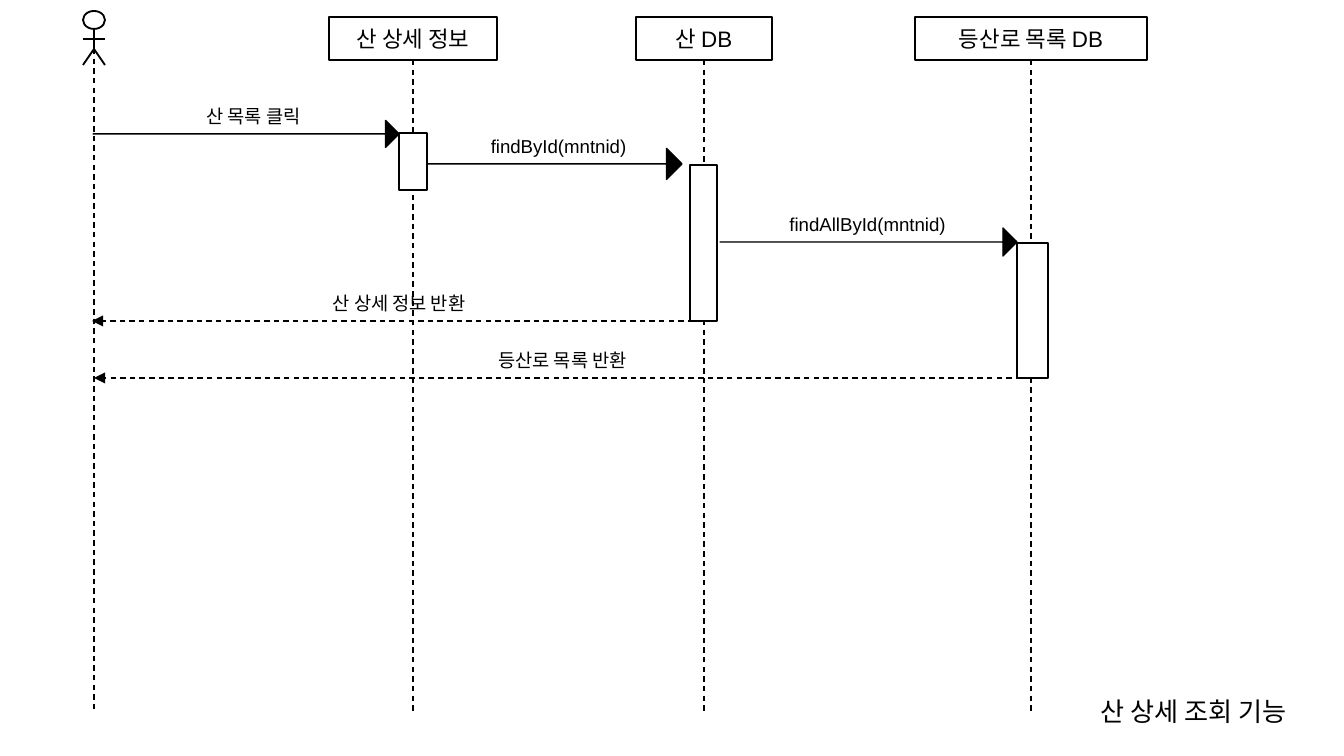
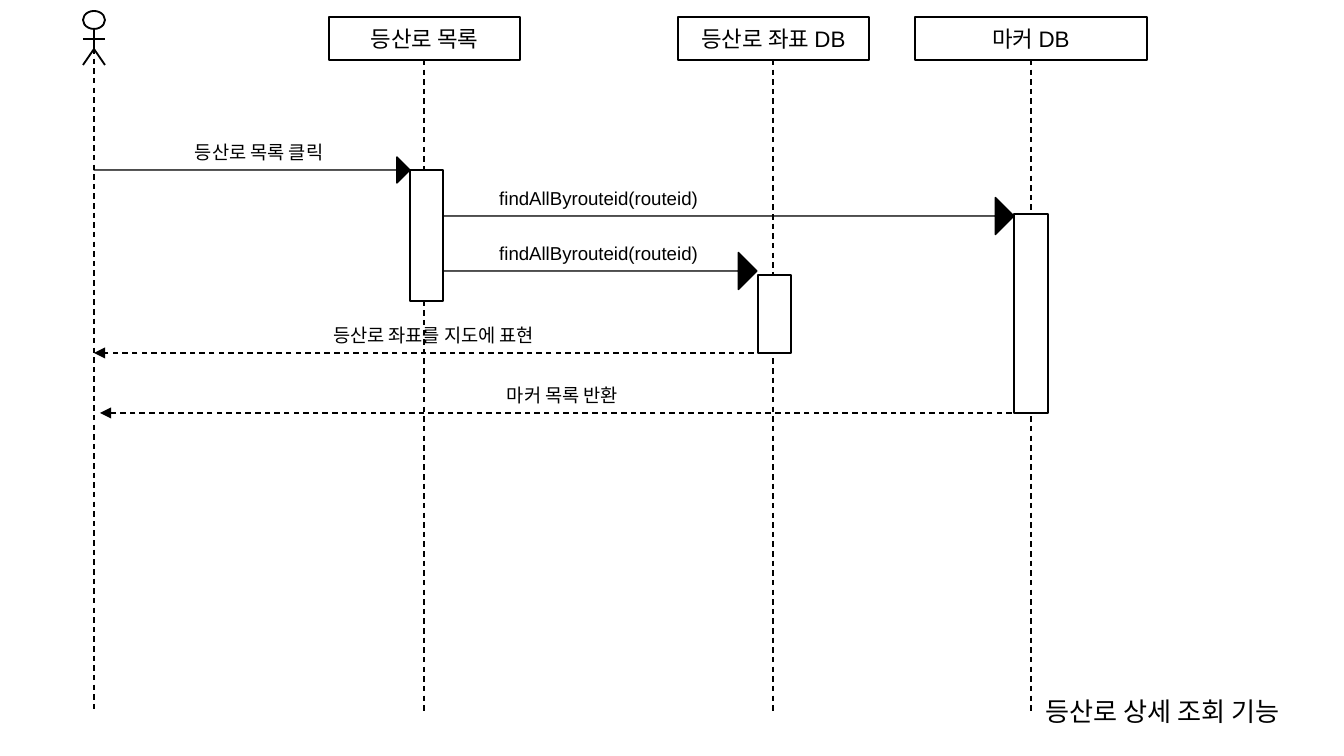
from dataclasses import dataclass

import lxml.etree
import pptx
import pptx.dml.color
import pptx.enum.dml
import pptx.enum.shapes
import pptx.enum.text
import pptx.oxml.ns
import pptx.shapes.autoshape
import pptx.shapes.connector
import pptx.slide
import pptx.util

PIXELS_PER_INCH = 134.4
SLIDE_WIDTH, SLIDE_HEIGHT = 1344, 756
ACTOR_X, ACTOR_HIP, ACTOR_REACH = 94, 49, 11
HEADER_TOP, HEADER_HEIGHT = 17, 43
LIFELINE_BOTTOM = 712
LABEL_HEIGHT = 36
CAPTION_TOP, CAPTION_HEIGHT = 689, 46


@dataclass(frozen=True)
class Theme:
    ink: pptx.dml.color.RGBColor = pptx.dml.color.RGBColor(0, 0, 0)
    paper: pptx.dml.color.RGBColor = pptx.dml.color.RGBColor(255, 255, 255)
    latin_font: str = "Arial"
    korean_font: str = "Noto Sans CJK KR"
    header_size: float = 12
    label_size: float = 10
    caption_size: float = 14
    thin: float = 0.75
    thick: float = 1


THEME = Theme()


@dataclass(frozen=True)
class Participant:
    name: str
    left: int
    width: int

    @property
    def center(self) -> int:
        return self.left + self.width // 2


@dataclass(frozen=True)
class Activation:
    left: int
    top: int
    width: int
    height: int


@dataclass(frozen=True)
class Message:
    label: str
    y: int
    start: int
    end: int
    label_span: tuple[int, int]
    head_height: int = 0


@dataclass(frozen=True)
class Diagram:
    caption: str
    caption_left: int
    caption_width: int
    participants: list[Participant]
    activations: list[Activation]
    messages: list[Message]


def px(pixels: float) -> int:
    return pptx.util.Inches(pixels / PIXELS_PER_INCH)


def add_text(shape, text: str, size: float, font: str, centered: bool = True) -> None:
    paragraph = shape.text_frame.paragraphs[0]
    if centered:
        paragraph.alignment = pptx.enum.text.PP_ALIGN.CENTER
    run = paragraph.add_run()
    run.text = text
    run.font.size = pptx.util.Pt(size)
    run.font.name = font
    run.font.color.rgb = THEME.ink
    east_asian = lxml.etree.SubElement(run.font._element, pptx.oxml.ns.qn("a:ea"))
    east_asian.set("typeface", THEME.korean_font)


def add_box(shapes, kind: pptx.enum.shapes.MSO_SHAPE, left: float, top: float,
            width: float, height: float, line_width: float,
            fill: pptx.dml.color.RGBColor | None) -> pptx.shapes.autoshape.Shape:
    shape = shapes.add_shape(kind, px(left), px(top), px(width), px(height))
    shape.shadow.inherit = False
    if fill is None:
        shape.fill.background()
    else:
        shape.fill.solid()
        shape.fill.fore_color.rgb = fill
    shape.line.color.rgb = THEME.ink
    shape.line.width = pptx.util.Pt(line_width)
    return shape


def add_line(shapes, start: tuple[float, float], end: tuple[float, float],
             line_width: float, dashed: bool = False,
             arrow: bool = False) -> pptx.shapes.connector.Connector:
    connector = shapes.add_connector(
        pptx.enum.shapes.MSO_CONNECTOR.STRAIGHT, *map(px, start + end))
    connector.line.color.rgb = THEME.ink
    connector.line.width = pptx.util.Pt(line_width)
    if dashed:
        connector.line.dash_style = pptx.enum.dml.MSO_LINE.DASH
    properties = connector._element.spPr
    if arrow:
        outline = properties.find(pptx.oxml.ns.qn("a:ln"))
        tail = lxml.etree.SubElement(outline, pptx.oxml.ns.qn("a:tailEnd"))
        tail.set("type", "triangle")
    lxml.etree.SubElement(properties, pptx.oxml.ns.qn("a:effectLst"))
    return connector


def add_text_box(slide: pptx.slide.Slide, text: str, left: int, top: int, width: int,
                 height: int, size: float, font: str, label: bool) -> None:
    box = slide.shapes.add_textbox(px(left), px(top), px(width), px(height))
    box.text_frame.word_wrap = label
    box.text_frame.auto_size = pptx.enum.text.MSO_AUTO_SIZE.SHAPE_TO_FIT_TEXT
    add_text(box, text, size, font, centered=label)


def add_actor(slide: pptx.slide.Slide) -> None:
    shapes = slide.shapes.add_group_shape().shapes
    left, right = ACTOR_X - ACTOR_REACH, ACTOR_X + ACTOR_REACH
    hip = (ACTOR_X, ACTOR_HIP)
    add_box(shapes, pptx.enum.shapes.MSO_SHAPE.OVAL, left, 11, right - left, 18,
            THEME.thick, THEME.paper)
    for start, end in (((ACTOR_X, 29), hip), ((left, 39), (right, 39)),
                       (hip, (left, 65)), (hip, (right, 65))):
        add_line(shapes, start, end, THEME.thick)
    add_line(slide.shapes, hip, (ACTOR_X, LIFELINE_BOTTOM), THEME.thin, dashed=True)


def add_participant(slide: pptx.slide.Slide, participant: Participant) -> None:
    header = add_box(slide.shapes, pptx.enum.shapes.MSO_SHAPE.RECTANGLE, participant.left,
                     HEADER_TOP, participant.width, HEADER_HEIGHT, THEME.thin, None)
    header.text_frame.vertical_anchor = pptx.enum.text.MSO_ANCHOR.MIDDLE
    add_text(header, participant.name, THEME.header_size, THEME.latin_font)
    add_line(slide.shapes, (participant.center, HEADER_TOP + HEADER_HEIGHT),
             (participant.center, LIFELINE_BOTTOM), THEME.thin, dashed=True)


def add_message(slide: pptx.slide.Slide, message: Message, lifelines: list[int]) -> None:
    if message.head_height:
        arrow = add_box(slide.shapes, pptx.enum.shapes.MSO_SHAPE.RIGHT_ARROW, message.start,
                        message.y - message.head_height / 2, message.end - message.start,
                        message.head_height, THEME.thin, THEME.ink)
        arrow.adjustments[0] = 0
        arrow.adjustments[1] = 0.5
    else:
        add_line(slide.shapes, (message.start, message.y), (message.end, message.y),
                 THEME.thin, dashed=True, arrow=True)
    left, right = (lifelines[index] for index in message.label_span)
    add_text_box(slide, message.label, left, message.y - LABEL_HEIGHT, right - left,
                 LABEL_HEIGHT, THEME.label_size, THEME.latin_font, label=True)


def add_diagram(presentation, diagram: Diagram) -> None:
    slide = presentation.slides.add_slide(presentation.slide_layouts[6])
    add_actor(slide)
    for participant in diagram.participants:
        add_participant(slide, participant)
    for activation in diagram.activations:
        add_box(slide.shapes, pptx.enum.shapes.MSO_SHAPE.RECTANGLE, activation.left,
                activation.top, activation.width, activation.height,
                THEME.thick, THEME.paper)
    lifelines = [ACTOR_X] + [participant.center for participant in diagram.participants]
    for message in diagram.messages:
        add_message(slide, message, lifelines)
    add_text_box(slide, diagram.caption, diagram.caption_left, CAPTION_TOP,
                 diagram.caption_width, CAPTION_HEIGHT, THEME.caption_size,
                 THEME.korean_font, label=False)


DIAGRAMS = [
    Diagram(
        "산 상세 조회 기능", 1087, 238,
        [Participant("산 상세 정보", 329, 168),
         Participant("산 DB", 636, 136),
         Participant("등산로 목록 DB", 915, 232)],
        [Activation(399, 133, 28, 57),
         Activation(690, 165, 27, 156),
         Activation(1017, 243, 31, 135)],
        [Message("산 목록 클릭", 134, 93, 399, (0, 1), 27),
         Message("findById(mntnid)", 164, 427, 682, (1, 2), 31),
         Message("findAllById(mntnid)", 242, 720, 1017, (2, 3), 28),
         Message("산 상세 정보 반환", 321, 703, 92, (0, 2)),
         Message("등산로 목록 반환", 378, 1031, 94, (0, 3))],
    ),
    Diagram(
        "등산로 상세 조회 기능", 1032, 290,
        [Participant("등산로 목록", 329, 191),
         Participant("등산로 좌표 DB", 678, 191),
         Participant("마커 DB", 915, 232)],
        [Activation(410, 170, 33, 131),
         Activation(758, 275, 33, 78),
         Activation(1014, 214, 34, 199)],
        [Message("등산로 목록 클릭", 170, 94, 410, (0, 1), 26),
         Message("findAllByrouteid(routeid)", 216, 444, 1014, (1, 2), 37),
         Message("findAllByrouteid(routeid)", 271, 443, 757, (1, 2), 37),
         Message("등산로 좌표를 지도에 표현", 353, 773, 94, (0, 2)),
         Message("마커 목록 반환", 413, 1031, 100, (0, 3))],
    ),
]


def main() -> None:
    presentation = pptx.Presentation()
    presentation.slide_width = px(SLIDE_WIDTH)
    presentation.slide_height = px(SLIDE_HEIGHT)
    for diagram in DIAGRAMS:
        add_diagram(presentation, diagram)
    presentation.save("out.pptx")


main()
